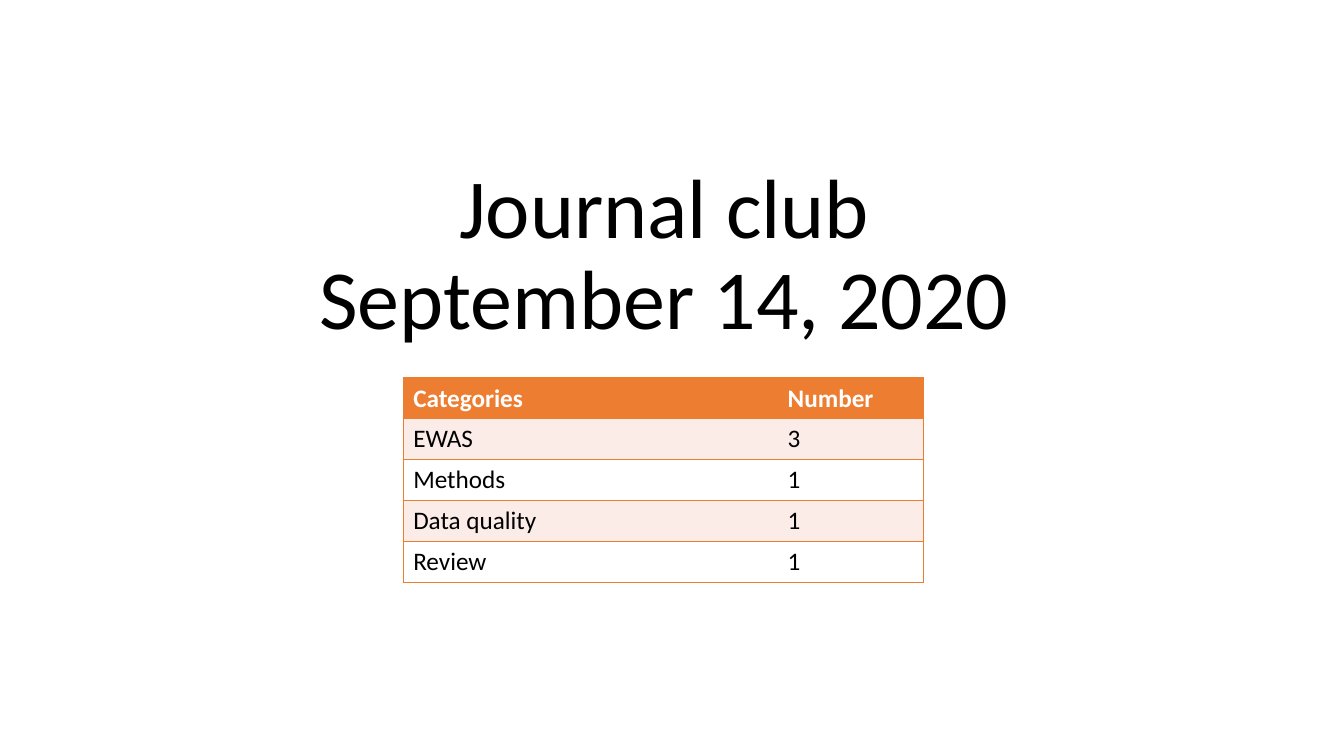
from lxml.etree import SubElement
from pptx import Presentation
from pptx.dml.color import RGBColor
from pptx.enum.text import MSO_ANCHOR, MSO_AUTO_SIZE, PP_ALIGN
from pptx.oxml.ns import qn
from pptx.util import Pt

FONT = "Calibri"
ORANGE, PINK, WHITE, BLACK = "ED7D31", "FCECE8", "FFFFFF", "000000"
CATEGORIES = [("Categories", "Number"), ("EWAS", "3"), ("Methods", "1"),
              ("Data quality", "1"), ("Review", "1")]


def rgb(value):
    """Turn a hex string into a colour."""
    return RGBColor.from_string(value)


def set_font(p, size, color, bold=False):
    """Format all the text of a paragraph."""
    p.font.name = FONT
    p.font.size = Pt(size)
    p.font.bold = bold
    p.font.color.rgb = rgb(color)


def set_borders(cell, edges):
    """Draw the named edges (L, R, T, B) in orange and clear the others."""
    tcPr = cell._tc.get_or_add_tcPr()
    for i, edge in enumerate("LRTB"):
        ln = SubElement(tcPr, qn(f"a:ln{edge}"), w=str(Pt(1)))
        if edge in edges:
            fill = SubElement(ln, qn("a:solidFill"))
            SubElement(fill, qn("a:srgbClr"), val=ORANGE)
        else:
            SubElement(ln, qn("a:noFill"))
        tcPr.insert(i, ln)


def add_title(s, text, left, top, width, height):
    """Place the centred title at the bottom of its box."""
    sp = s.shapes.title
    sp.left, sp.top, sp.width, sp.height = map(Pt, (left, top, width, height))
    tf = sp.text_frame
    tf.text = text
    tf.word_wrap = True
    tf.auto_size = MSO_AUTO_SIZE.NONE
    tf.vertical_anchor = MSO_ANCHOR.BOTTOM
    p = tf.paragraphs[0]
    p.alignment = PP_ALIGN.CENTER
    p.line_spacing = 0.9
    set_font(p, 60, BLACK)


def add_category_table(s, rows, left, top, width, height):
    """Add the banded table of paper categories and their numbers."""
    table = s.shapes.add_table(len(rows), 2, Pt(left), Pt(top),
                               Pt(width), Pt(height)).table
    for column, share in zip(table.columns, (0.72, 0.28)):
        column.width = Pt(width * share)
    for i, row in enumerate(rows):
        fill = ORANGE if i == 0 else PINK if i % 2 else WHITE
        for j, text in enumerate(row):
            cell = table.cell(i, j)
            cell.text = text
            cell.fill.solid()
            cell.fill.fore_color.rgb = rgb(fill)
            set_borders(cell, "RTB" if j else "LTB")
            set_font(cell.text_frame.paragraphs[0], 18,
                     BLACK if i else WHITE, bold=i == 0)


def build_title_slide(prs):
    """Build the journal club slide."""
    s = prs.slides.add_slide(prs.slide_layouts[0])
    subtitle = s.placeholders[1].element
    subtitle.getparent().remove(subtitle)
    add_title(s, "Journal club\vSeptember 14, 2020", 109, 64, 731, 188)
    add_category_table(s, CATEGORIES, 288, 270, 371.5, 146)


prs = Presentation()
prs.slide_width, prs.slide_height = Pt(960), Pt(540)
build_title_slide(prs)
prs.save("out.pptx")
